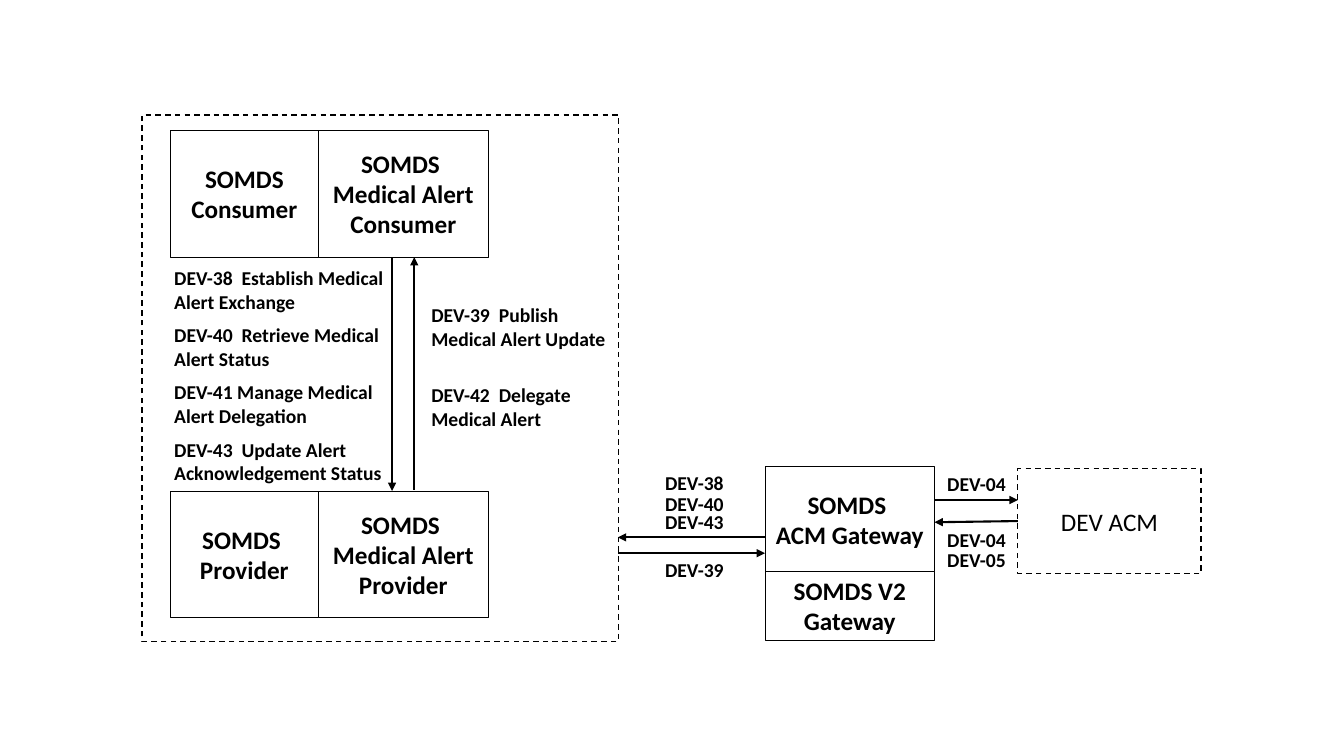
from pptx import Presentation
from pptx.dml.color import RGBColor
from pptx.enum.dml import MSO_LINE
from pptx.enum.shapes import MSO_CONNECTOR, MSO_SHAPE
from pptx.enum.text import MSO_ANCHOR, PP_ALIGN
from pptx.oxml.ns import qn
from pptx.util import Cm, Pt
from lxml.etree import SubElement

COLOURS = {"ink": "000000", "paper": "FFFFFF"}
FONT = "Calibri"


def colour(name):
    return RGBColor.from_string(COLOURS[name])


def write(shape, text, size, bold, alignment):
    text_frame = shape.text_frame
    text_frame.word_wrap = True
    text_frame.text = text
    for paragraph in text_frame.paragraphs:
        paragraph.alignment = alignment
        for run in paragraph.runs:
            run.font.name = FONT
            run.font.size = Pt(size)
            run.font.bold = bold
            run.font.color.rgb = colour("ink")


def add_box(slide, left, top, width, height, text="", dashed=False):
    """Solid actor box with bold text, or a dashed, unfilled system boundary."""
    shape = slide.shapes.add_shape(
        MSO_SHAPE.RECTANGLE, Cm(left), Cm(top), Cm(width), Cm(height))
    shape.shadow.inherit = False
    shape.line.color.rgb = colour("ink")
    if dashed:
        shape.fill.background()
        shape.line.width = Pt(1)
        shape.line.dash_style = MSO_LINE.DASH
    else:
        shape.fill.solid()
        shape.fill.fore_color.rgb = colour("paper")
        shape.line.width = Pt(0.5)
    shape.text_frame.vertical_anchor = MSO_ANCHOR.MIDDLE
    if text:
        write(shape, text, 18, not dashed, PP_ALIGN.CENTER)


def add_label(slide, left, top, width, height, text):
    label = slide.shapes.add_textbox(Cm(left), Cm(top), Cm(width), Cm(height))
    write(label, text, 14, True, PP_ALIGN.LEFT)


def add_arrow(slide, start_x, start_y, end_x, end_y):
    arrow = slide.shapes.add_connector(
        MSO_CONNECTOR.STRAIGHT, Cm(start_x), Cm(start_y), Cm(end_x), Cm(end_y))
    arrow.line.color.rgb = colour("ink")
    arrow.line.width = Pt(1.5)
    SubElement(arrow.line._get_or_add_ln(), qn("a:tailEnd"), type="triangle")
    SubElement(arrow._element.spPr, qn("a:effectLst"))


def add_somds_system(slide):
    # Consumer and provider pairs
    for top, role, base_text in ((12.37, "Provider", "SOMDS \nProvider"),
                                 (3.28, "Consumer", "SOMDS Consumer")):
        add_box(slide, 4.29, top, 3.74, 3.2, base_text)
        add_box(slide, 8.03, top, 4.27, 3.2, f"SOMDS \nMedical Alert {role}")

    # Transactions between consumer and provider
    add_arrow(slide, 9.88, 6.48, 9.88, 12.37)
    add_arrow(slide, 10.44, 12.34, 10.44, 6.48)
    requests = ("DEV-38  Establish Medical Alert Exchange",
                "DEV-40  Retrieve Medical Alert Status",
                "DEV-41 Manage Medical Alert Delegation",
                "DEV-43  Update Alert Acknowledgement Status")
    for index, text in enumerate(requests):
        add_label(slide, 4.14, 6.58 + 1.44 * index, 6.12, 1.45, text)
    for top, text in ((7.52, "DEV-39  Publish Medical Alert Update"),
                      (9.53, "DEV-42  Delegate Medical Alert")):
        add_label(slide, 10.62, top, 4.95, 1.45, text)

    # System boundary
    add_box(slide, 3.58, 2.9, 12.01, 13.26, dashed=True)


def add_gateway(slide):
    # Arrows to the SOMDS system and to DEV ACM
    for ends in ((19.28, 13.54, 15.57, 13.54), (15.57, 13.94, 19.28, 13.94),
                 (25.65, 13.13, 23.55, 13.16), (23.55, 12.6, 25.65, 12.6)):
        add_arrow(slide, *ends)

    # Gateway and DEV ACM boxes
    add_box(slide, 19.28, 11.76, 4.27, 2.64, "SOMDS \nACM Gateway")
    add_box(slide, 19.28, 14.4, 4.27, 1.73, "SOMDS V2 Gateway")
    add_box(slide, 25.65, 11.81, 4.62, 2.64, "DEV ACM", dashed=True)

    # Transaction numbers: left, width, then (top, text)
    for left, width, labels in (
            (16.51, 3.35, ((11.73, "DEV-38"), (12.27, "DEV-40"),
                           (12.73, "DEV-43"), (13.94, "DEV-39"))),
            (23.62, 2.34, ((11.76, "DEV-04"), (13.18, "DEV-04"),
                           (13.67, "DEV-05")))):
        for top, text in labels:
            add_label(slide, left, top, width, 0.86, text)


def main():
    presentation = Presentation()
    presentation.slide_width = Cm(33.87)
    presentation.slide_height = Cm(19.05)
    slide = presentation.slides.add_slide(presentation.slide_layouts[6])
    add_somds_system(slide)
    add_gateway(slide)
    presentation.save("out.pptx")


main()
